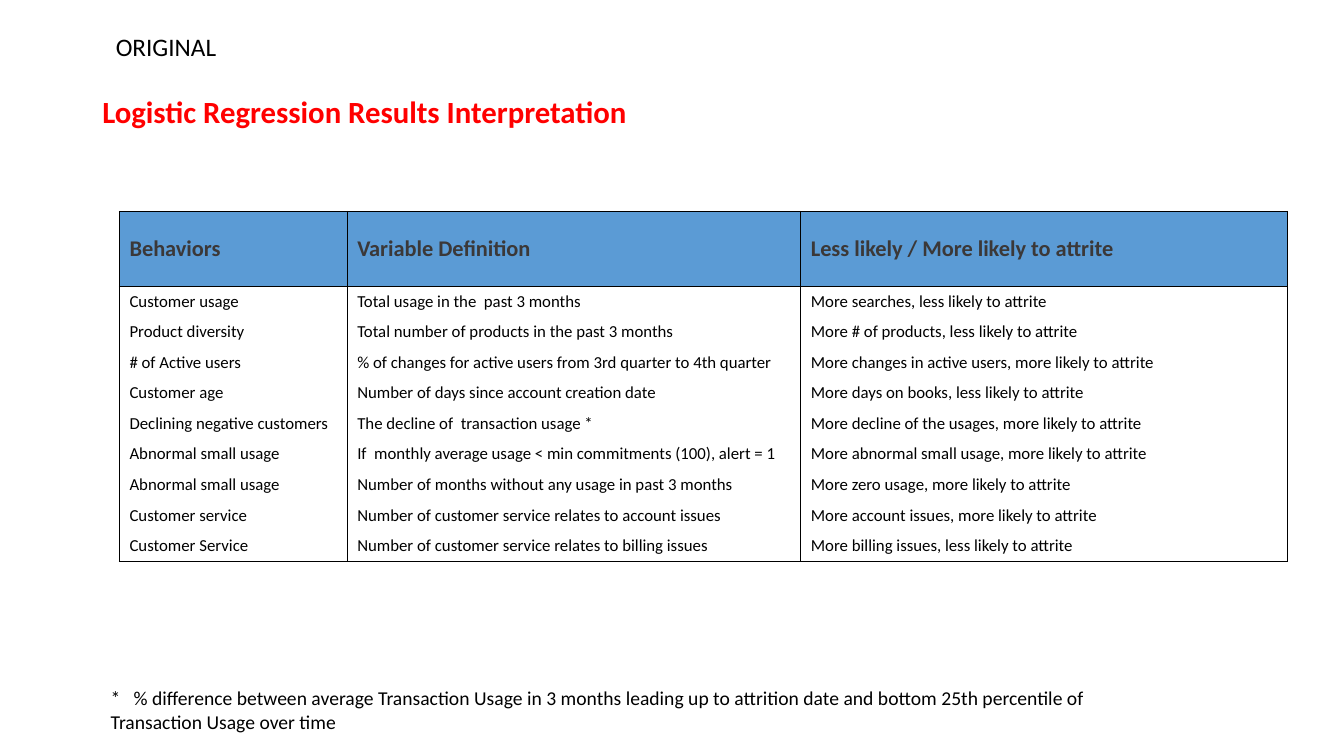
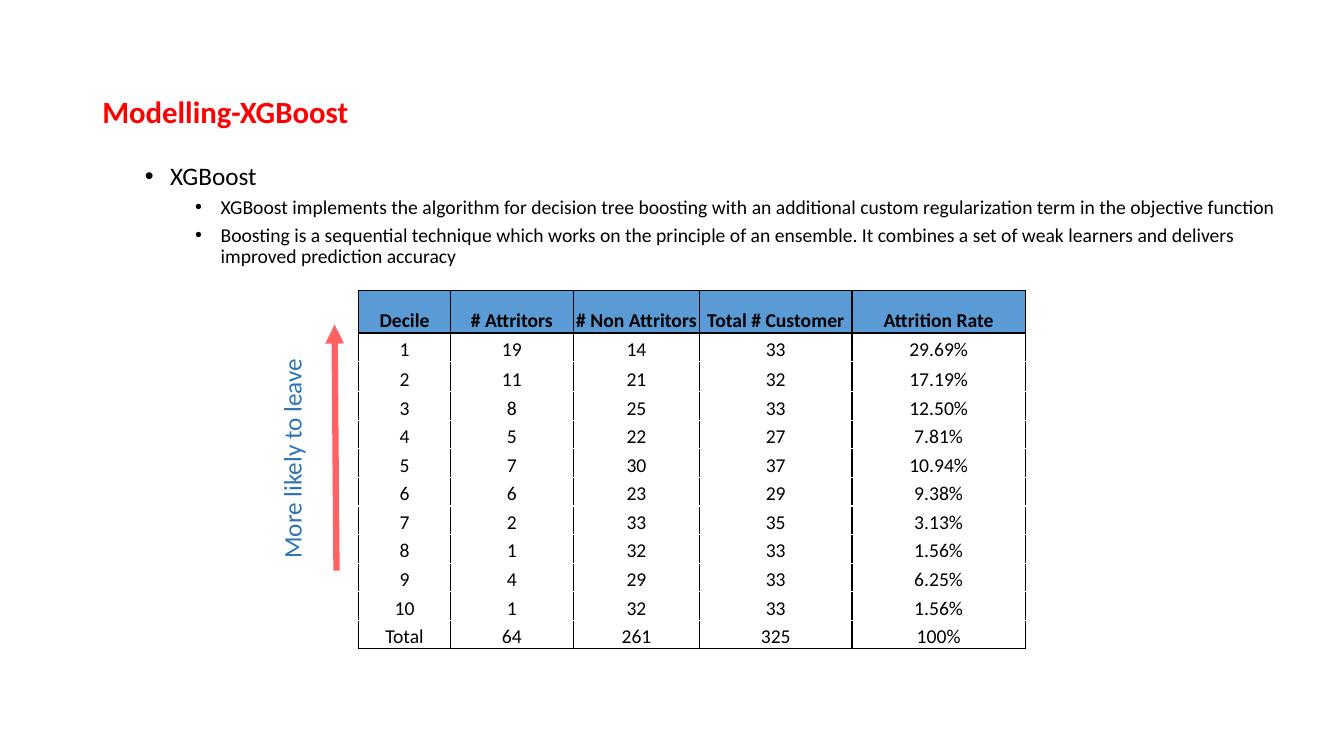
from lxml.etree import SubElement
from pptx import Presentation
from pptx.dml.color import RGBColor
from pptx.enum.shapes import MSO_CONNECTOR
from pptx.enum.text import MSO_ANCHOR, PP_ALIGN
from pptx.oxml.ns import qn
from pptx.util import Cm, Pt

FONT = "Calibri"
COLORS = {
    "title": "FF0000",
    "text": "000000",
    "header_text": "3B3838",
    "header_fill": "5B9BD5",
    "white": "FFFFFF",
    "arrow": "FF2929",
    "arrow_label": "2E75B6",
}


def add_text(slide, box, lines, size, color="text", bold=False, wrap=True):
    shape = slide.shapes.add_textbox(*(Cm(length) for length in box))
    frame = shape.text_frame
    frame.text = "\n".join(lines)
    frame.word_wrap = wrap
    for paragraph in frame.paragraphs:
        for run in paragraph.runs:
            run.font.name = FONT
            run.font.size = Pt(size)
            run.font.bold = bold
            run.font.color.rgb = RGBColor.from_string(COLORS[color])
    return shape


def add_grid(slide, left, top, widths, heights, rows, style):
    frame = slide.shapes.add_table(
        len(rows), len(widths), Cm(left), Cm(top), Cm(sum(widths)), Cm(sum(heights))
    )
    table = frame.table
    table.horz_banding = False
    for column, width in zip(table.columns, widths):
        column.width = Cm(width)
    for r, (row, height) in enumerate(zip(rows, heights)):
        table.rows[r].height = Cm(height)
        header = r == 0
        top_color = "text" if r < 2 else style["divider"]
        bottom_color = "text" if r in (0, len(rows) - 1) else style["divider"]
        for c, text in enumerate(row):
            cell = table.cell(r, c)
            cell.text = text
            cell.vertical_anchor = style["header_anchor"] if header else style["anchor"]
            if "margins" in style:
                cell.margin_left = cell.margin_right = cell.margin_top = Cm(style["margins"])
                cell.margin_bottom = 0
            paragraph = cell.text_frame.paragraphs[0]
            paragraph.alignment = style["align"]
            font = paragraph.runs[0].font
            font.name = FONT
            font.size = Pt(style["header_size"] if header else style["size"])
            font.bold = header
            color = style["header_color"] if header else "text"
            font.color.rgb = RGBColor.from_string(COLORS[color])
            properties = cell._tc.get_or_add_tcPr()
            borders = {"lnL": "text", "lnR": "text", "lnT": top_color, "lnB": bottom_color}
            for side, border in borders.items():
                line = SubElement(properties, qn(f"a:{side}"), w=str(Pt(1)))
                if border:
                    fill = SubElement(line, qn("a:solidFill"))
                    SubElement(fill, qn("a:srgbClr"), val=COLORS[border])
                else:
                    SubElement(line, qn("a:noFill"))
            cell.fill.solid()
            fill_color = COLORS["header_fill" if header else "white"]
            cell.fill.fore_color.rgb = RGBColor.from_string(fill_color)


presentation = Presentation()
presentation.slide_width = Cm(33.87)
presentation.slide_height = Cm(19.05)

slides = []
for title in ("Logistic Regression Results Interpretation", "Modelling-XGBoost"):
    slide = presentation.slides.add_slide(presentation.slide_layouts[6])
    shape = add_text(slide, (2.33, 1.02, 29.21, 3.68), [title], 22, "title", bold=True)
    shape.text_frame.vertical_anchor = MSO_ANCHOR.MIDDLE
    shape.text_frame.paragraphs[0].line_spacing = 0.9
    slides.append(slide)
regression_slide, boosting_slide = slides

behaviors = [
    ("Behaviors", "Variable Definition", "Less likely / More likely to attrite"),
    ("Customer usage", "Total usage in the  past 3 months", "More searches, less likely to attrite"),
    ("Product diversity", "Total number of products in the past 3 months",
     "More # of products, less likely to attrite"),
    ("# of Active users", "% of changes for active users from 3rd quarter to 4th quarter",
     "More changes in active users, more likely to attrite"),
    ("Customer age", "Number of days since account creation date",
     "More days on books, less likely to attrite"),
    ("Declining negative customers", "The decline of  transaction usage *",
     "More decline of the usages, more likely to attrite"),
    ("Abnormal small usage", "If  monthly average usage < min commitments (100), alert = 1",
     "More abnormal small usage, more likely to attrite"),
    ("Abnormal small usage", "Number of months without any usage in past 3 months",
     "More zero usage, more likely to attrite"),
    ("Customer service", "Number of customer service relates to account issues",
     "More account issues, more likely to attrite"),
    ("Customer Service", "Number of customer service relates to billing issues",
     "More billing issues, less likely to attrite"),
]
behavior_style = {
    "header_size": 16, "size": 12, "header_color": "header_text", "divider": None,
    "header_anchor": MSO_ANCHOR.MIDDLE, "anchor": MSO_ANCHOR.TOP, "align": PP_ALIGN.LEFT,
}
add_grid(regression_slide, 3.01, 5.33, [5.74, 11.43, 12.27], [1.88] + [0.77] * 9,
         behaviors, behavior_style)

footnote = add_text(
    regression_slide, (2.54, 17.17, 27.31, 1.45),
    ["*\t% difference between average Transaction Usage in 3 months leading up to attrition date "
     "and bottom 25th percentile of Transaction Usage over time"], 14)
properties = footnote.text_frame.paragraphs[0]._p.get_or_add_pPr()
tabs = SubElement(properties, qn("a:tabLst"))
SubElement(tabs, qn("a:tab"), pos=str(Cm(0.58)), algn="l")
add_text(regression_slide, (2.67, 0.66, 4.98, 1.02), ["ORIGINAL"], 18)

body = add_text(boosting_slide, (3.4, 3.99, 29.21, 12.09), [
    "XGBoost",
    "XGBoost implements the algorithm for decision tree boosting with an additional custom "
    "regularization term in the objective function",
    "Boosting is a sequential technique which works on the principle of an ensemble. It combines "
    "a set of weak learners and delivers improved prediction accuracy",
], 14)
body.text_frame.paragraphs[0].runs[0].font.size = Pt(18)
for paragraph, level in zip(body.text_frame.paragraphs, (0, 1, 1)):
    paragraph.level = level
    paragraph.line_spacing = 0.9
    paragraph.space_before = Pt(5 if level else 10)
    properties = paragraph._p.get_or_add_pPr()
    properties.set("marL", str(Cm(0.64 + 1.27 * level)))
    properties.set("indent", str(-Cm(0.64)))
    SubElement(properties, qn("a:buFont"), typeface="Arial")
    SubElement(properties, qn("a:buChar"), char="•")

deciles = [
    ("Decile", "# Attritors", "# Non Attritors", "Total # Customer", "Attrition Rate"),
    ("1", "19", "14", "33", "29.69%"),
    ("2", "11", "21", "32", "17.19%"),
    ("3", "8", "25", "33", "12.50%"),
    ("4", "5", "22", "27", "7.81%"),
    ("5", "7", "30", "37", "10.94%"),
    ("6", "6", "23", "29", "9.38%"),
    ("7", "2", "33", "35", "3.13%"),
    ("8", "1", "32", "33", "1.56%"),
    ("9", "4", "29", "33", "6.25%"),
    ("10", "1", "32", "33", "1.56%"),
    ("Total", "64", "261", "325", "100%"),
]
decile_style = {
    "header_size": 14, "size": 14, "header_color": "text", "divider": "white", "margins": 0.02,
    "header_anchor": MSO_ANCHOR.BOTTOM, "anchor": MSO_ANCHOR.BOTTOM, "align": PP_ALIGN.CENTER,
}
add_grid(boosting_slide, 9.04, 7.32, [2.31, 3.1, 3.18, 3.84, 4.37],
         [1.07, 0.72, 0.76] + [0.72] * 9, deciles, decile_style)

arrow = boosting_slide.shapes.add_connector(
    MSO_CONNECTOR.STRAIGHT, Cm(8.48), Cm(14.38), Cm(8.43), Cm(8.18))
arrow.line.width = Pt(4.5)
arrow.line.color.rgb = RGBColor.from_string(COLORS["arrow"])
arrow_properties = arrow.element.spPr
line = arrow_properties.find(qn("a:ln"))
SubElement(line.find(".//" + qn("a:srgbClr")), qn("a:alpha"), val="72000")
SubElement(line, qn("a:tailEnd"), type="triangle")
SubElement(arrow_properties, qn("a:effectLst"))

arrow_label = add_text(boosting_slide, (4.55, 11.05, 5.61, 1.02), ["More likely to leave"],
                       18, "arrow_label", wrap=False)
arrow_label.rotation = 270
arrow_label.text_frame.paragraphs[0].alignment = PP_ALIGN.CENTER

presentation.save("out.pptx")
